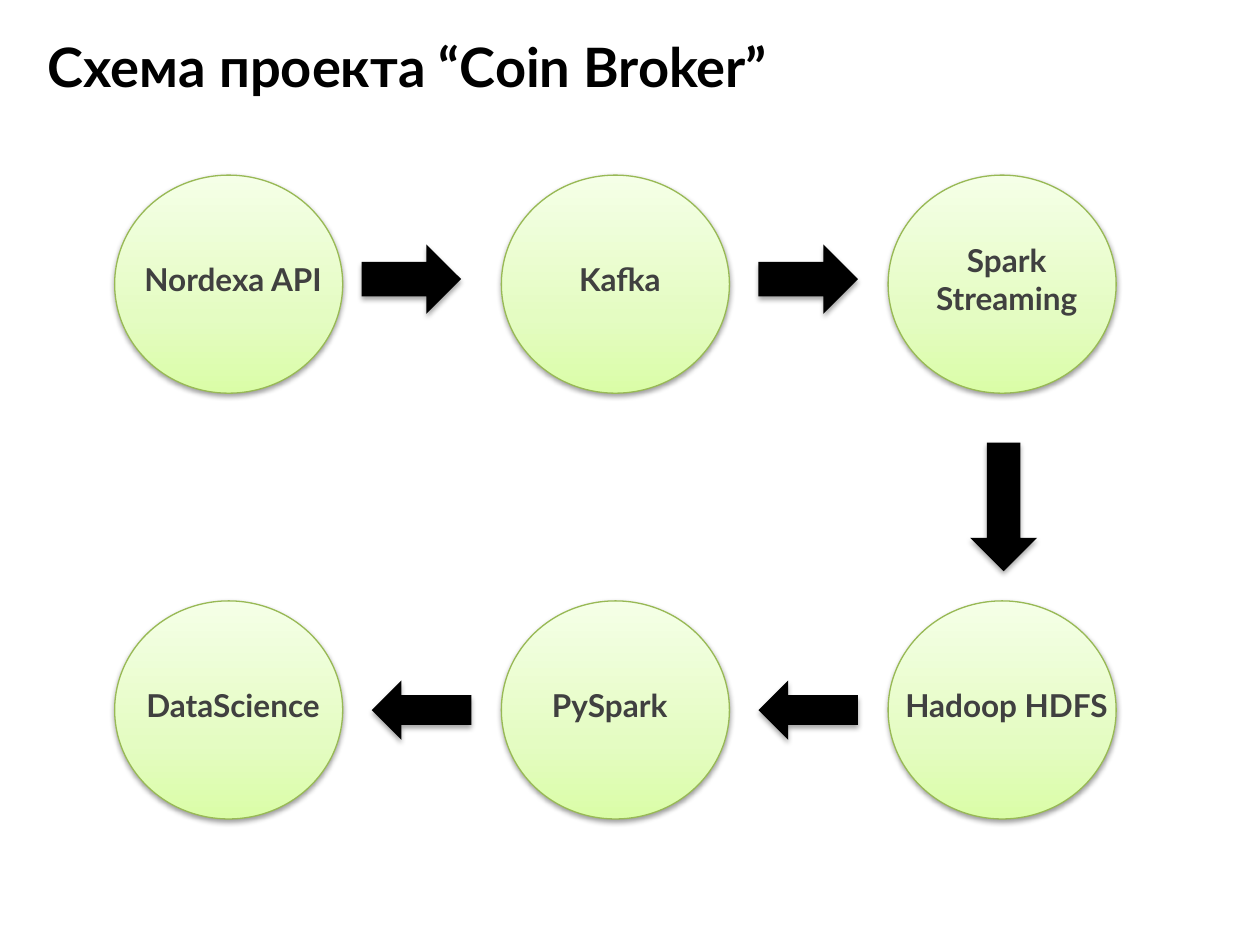
from copy import deepcopy

from lxml import etree
from pptx import Presentation
from pptx.dml.color import RGBColor
from pptx.enum import shapes, text
from pptx.oxml import ns
from pptx.util import Pt

BLACK = RGBColor(0x00, 0x00, 0x00)
LABEL_GRAY = RGBColor(0x40, 0x40, 0x40)
OUTLINE_GREEN = RGBColor(0x98, 0xB9, 0x55)
GREENS = (
    (0, RGBColor(0xDA, 0xFD, 0xA7)),
    (0.35, RGBColor(0xE4, 0xFC, 0xC2)),
    (1, RGBColor(0xF5, 0xFF, 0xE7)),
)
FONT = "Lato"
COLUMN_LEFT, COLUMN_STEP = 65.5, 221
ROW_TOPS = (100.1, 343.4)
CIRCLE_WIDTH, CIRCLE_HEIGHT = 130.3, 124.6
LABEL_WIDTH, LABEL_HEIGHT, LINE_HEIGHT = 146.9, 29, 22

STAGES = (
    ("Nordexa API", 0, 0, -5.7),
    ("Kafka", 1, 0, -5.7),
    ("Spark\vStreaming", 2, 0, -5.7),
    ("Hadoop HDFS", 2, 1, -5.7),
    ("PySpark", 1, 1, -11.5),
    ("DataScience", 0, 1, -5.7),
)
ARROWS = (
    (shapes.MSO_SHAPE.RIGHT_ARROW, 206.6, 139.7, 56.9, 39.6),
    (shapes.MSO_SHAPE.RIGHT_ARROW, 433.4, 139.7, 56.9, 39.6),
    (shapes.MSO_SHAPE.DOWN_ARROW, 554.4, 252.9, 38.2, 73.5),
    (shapes.MSO_SHAPE.LEFT_ARROW, 433.4, 388.8, 56.9, 34),
    (shapes.MSO_SHAPE.LEFT_ARROW, 212.4, 388.8, 56.9, 34),
)


def style_font(font, size, color):
    font.name = FONT
    font.size = Pt(size)
    font.bold = True
    font.color.rgb = color


def add_shadow(shape, opacity, distance):
    shape.shadow.inherit = False
    effects = shape._element.spPr.find(ns.qn("a:effectLst"))
    shadow = etree.SubElement(
        effects, ns.qn("a:outerShdw"), blurRad=str(Pt(3.1)),
        dist=str(Pt(distance)), dir="5400000", rotWithShape="0")
    color = etree.SubElement(shadow, ns.qn("a:srgbClr"), val=str(BLACK))
    etree.SubElement(color, ns.qn("a:alpha"), val=str(opacity * 1000))


def fill_gradient(shape):
    shape.fill.gradient()
    shape.fill.gradient_angle = 90
    stop_list = shape._element.spPr.find(".//" + ns.qn("a:gsLst"))
    stop_list.append(deepcopy(stop_list[-1]))
    for stop, (position, color) in zip(shape.fill.gradient_stops, GREENS):
        stop.position = position
        stop.color.rgb = color


def add_title(page, words):
    title = page.shapes.title
    title.left, title.top = Pt(20.2), Pt(15.1)
    title.width, title.height = Pt(499), Pt(44.6)
    title.text_frame.text = words
    title.text_frame.vertical_anchor = text.MSO_ANCHOR.TOP
    para = title.text_frame.paragraphs[0]
    para.alignment = text.PP_ALIGN.LEFT
    style_font(para.font, 31, BLACK)


def add_circle(page, left, top):
    circle = page.shapes.add_shape(
        shapes.MSO_SHAPE.OVAL, Pt(left), Pt(top), Pt(CIRCLE_WIDTH), Pt(CIRCLE_HEIGHT))
    fill_gradient(circle)
    circle.line.color.rgb = OUTLINE_GREEN
    circle.line.width = Pt(0.75)
    add_shadow(circle, 38, 1.6)


def add_label(page, words, left, middle):
    height = LABEL_HEIGHT + LINE_HEIGHT * words.count("\v")
    box = page.shapes.add_textbox(
        Pt(left), Pt(middle - height / 2), Pt(LABEL_WIDTH), Pt(height))
    box.text_frame.word_wrap = True
    box.text_frame.text = words
    para = box.text_frame.paragraphs[0]
    para.alignment = text.PP_ALIGN.CENTER
    style_font(para.font, 18, LABEL_GRAY)


def add_stage(page, words, column, row, label_shift):
    left = COLUMN_LEFT + column * COLUMN_STEP
    top = ROW_TOPS[row]
    add_circle(page, left, top)
    add_label(page, words, left + label_shift, top + 59.7)


def add_arrow(page, kind, left, top, width, height):
    arrow = page.shapes.add_shape(kind, Pt(left), Pt(top), Pt(width), Pt(height))
    arrow.fill.solid()
    arrow.fill.fore_color.rgb = BLACK
    arrow.line.fill.background()
    add_shadow(arrow, 35, 1.8)


def main():
    deck = Presentation()
    deck.slide_width, deck.slide_height = Pt(720), Pt(540)
    page = deck.slides.add_slide(deck.slide_layouts[5])
    add_title(page, "Схема проектa “Coin Broker”")
    for stage in STAGES:
        add_stage(page, *stage)
    for arrow in ARROWS:
        add_arrow(page, *arrow)
    deck.save("out.pptx")


if __name__ == "__main__":
    main()
